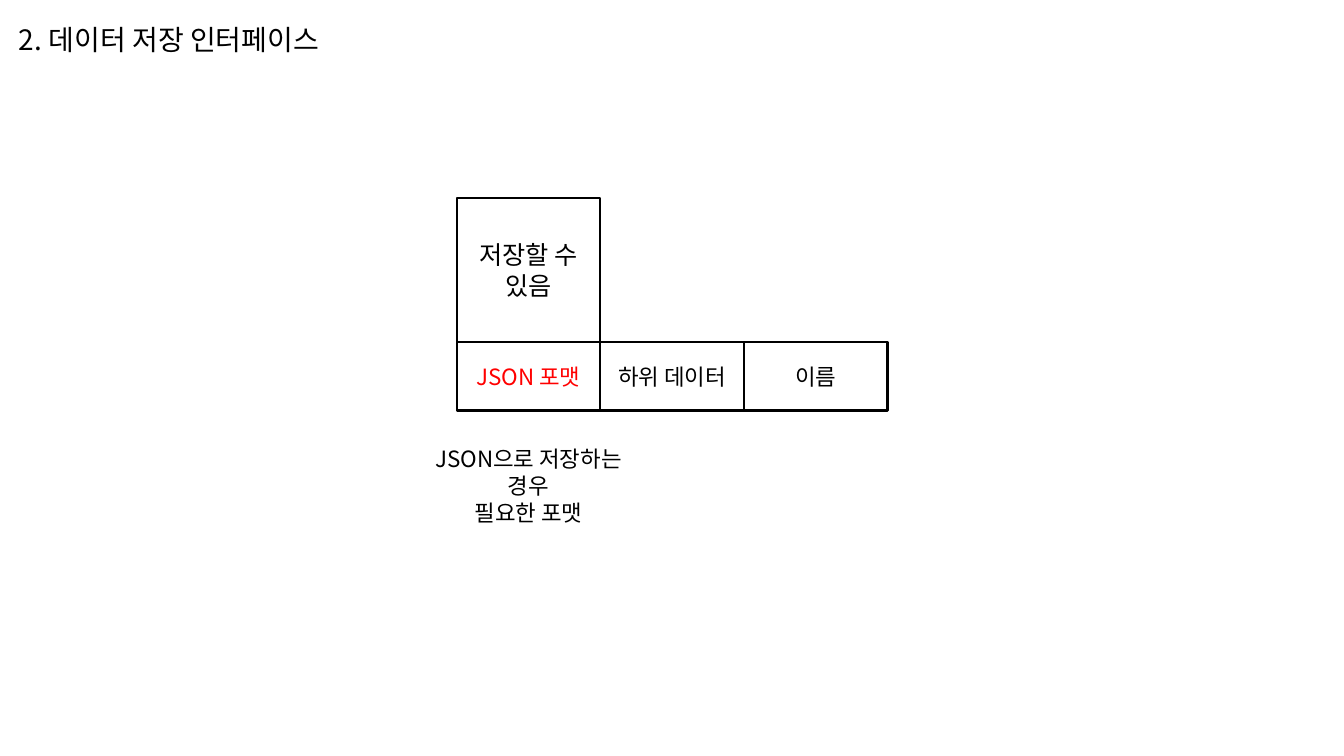
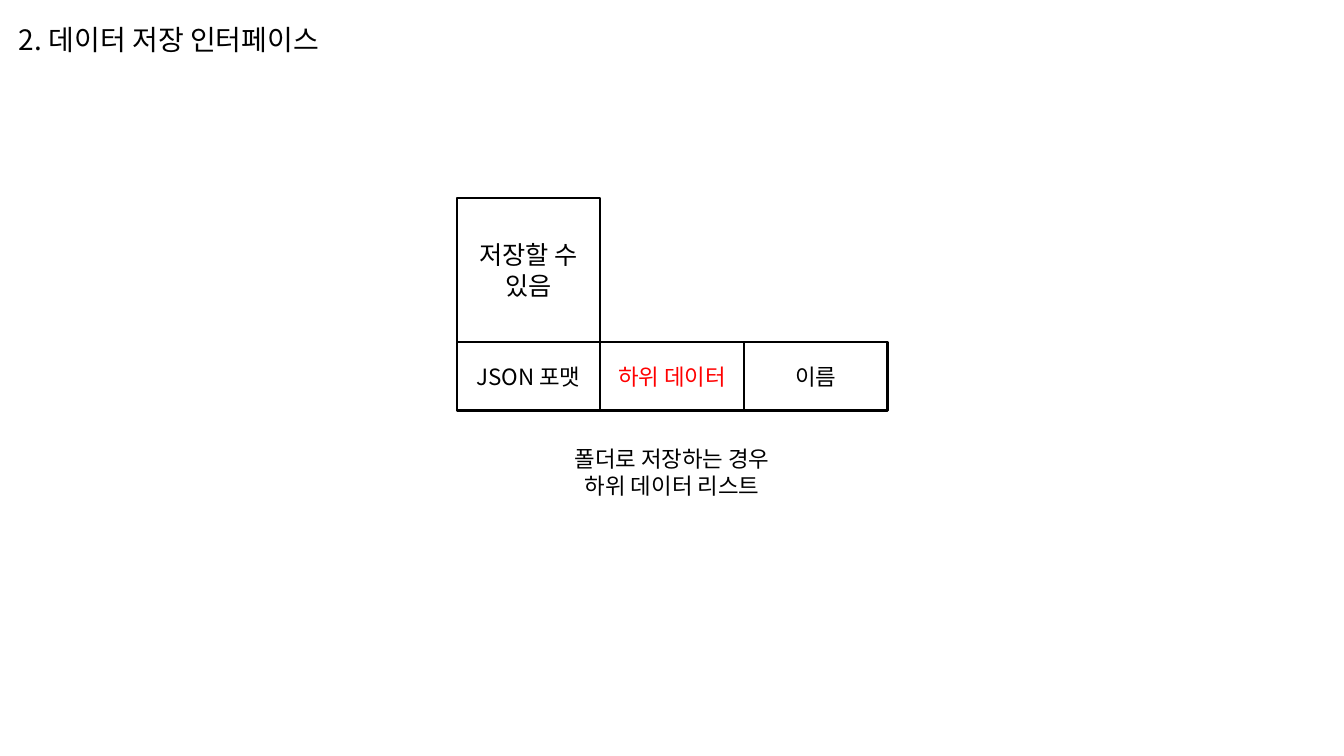
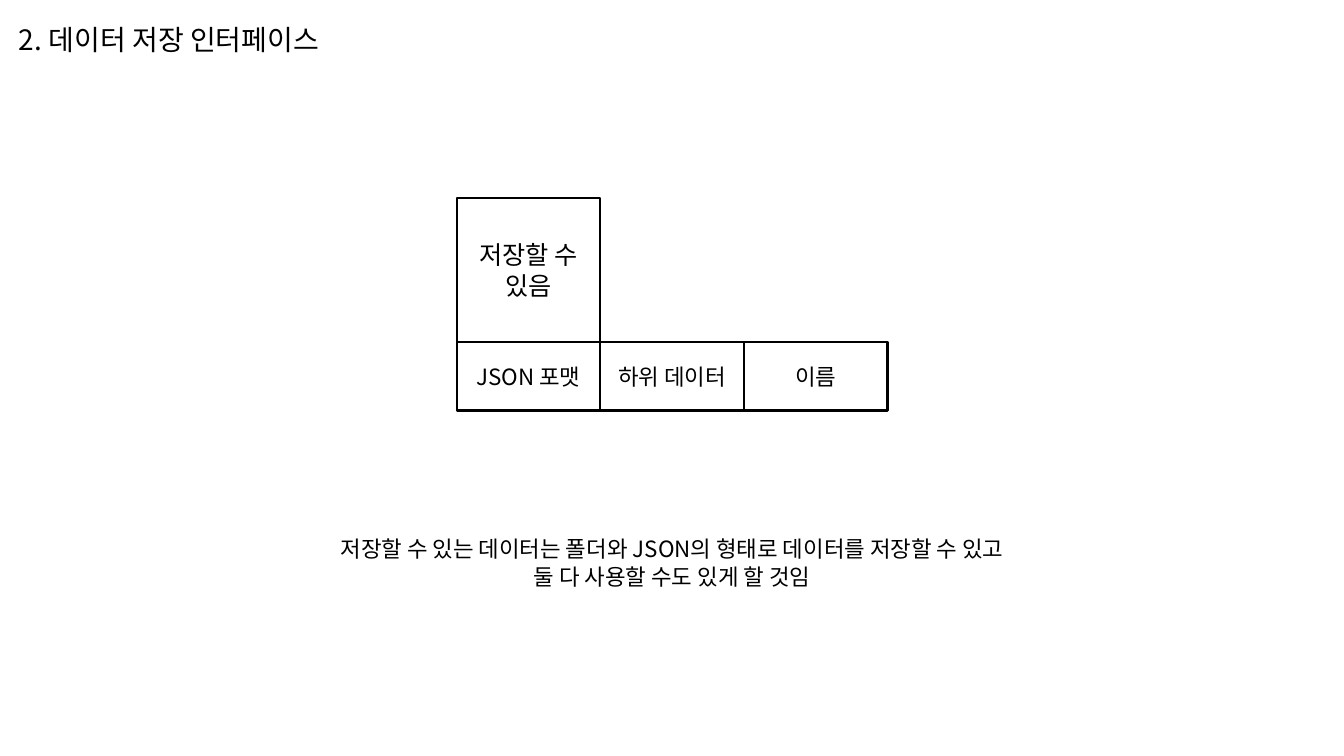
from lxml import etree
from pptx import Presentation
from pptx.dml.color import RGBColor
from pptx.enum.shapes import MSO_SHAPE
from pptx.enum.text import MSO_ANCHOR, MSO_AUTO_SIZE, PP_ALIGN
from pptx.oxml.ns import qn
from pptx.util import Pt

RECT = MSO_SHAPE.RECTANGLE
LEFT, CENTER = PP_ALIGN.LEFT, PP_ALIGN.CENTER
TOP, MIDDLE = MSO_ANCHOR.TOP, MSO_ANCHOR.MIDDLE
GROW = MSO_AUTO_SIZE.SHAPE_TO_FIT_TEXT

FONT = "Noto Sans CJK KR"
BLACK, WHITE, RED = "000000", "FFFFFF", "FF0000"
LEADING = 1.22
WIDTH, HEIGHT = 960, 540
TITLE = "2. 데이터 저장 인터페이스"
HEAD = "저장할 수 있음"
FIELDS = ["JSON 포맷", "하위 데이터", "이름"]
CELL, ROW_H = 102.6, 49
GRID_X, GRID_Y = 326.2, 141.6

SLIDES = [
    {"marked": 0, "column": 0, "top": 314, "width": 178,
     "lines": ["JSON으로 저장하는 경우", "필요한 포맷"]},
    {"marked": 1, "column": 1, "top": 314, "width": 154,
     "lines": ["폴더로 저장하는 경우", "하위 데이터 리스트"]},
    {"marked": None, "column": 1, "top": 378.7, "width": 488,
     "lines": ["저장할 수 있는 데이터는 폴더와 JSON의 형태로 데이터를 저장할 수 있고",
               "둘 다 사용할 수도 있게 할 것임"]},
]


def rgb(value):
    """Turn a hex string into a colour."""
    return RGBColor.from_string(value)


def write(sp, lines, size, color=BLACK, align=CENTER, anchor=TOP):
    """Fill a shape with one styled paragraph per line."""
    tf = sp.text_frame
    tf.word_wrap = True
    tf.vertical_anchor = anchor
    tf.text = "\n".join(lines)
    for p in tf.paragraphs:
        p.alignment = align
        p.line_spacing = Pt(round(size * LEADING, 1))
        for r in p.runs:
            r.font.name = FONT
            r.font.size = Pt(size)
            r.font.color.rgb = rgb(color)
            ea = etree.SubElement(r.font._element, qn("a:ea"))
            ea.set("typeface", FONT)


def add_text(s, x, y, w, h, lines, size, align=CENTER):
    """Add a growing text box."""
    sp = s.shapes.add_textbox(Pt(x), Pt(y), Pt(w), Pt(h))
    write(sp, lines, size, align=align)
    sp.text_frame.auto_size = GROW


def add_cell(s, x, y, w, h, text, size, color=BLACK):
    """Add an outlined white box with centred text."""
    sp = s.shapes.add_shape(RECT, Pt(x), Pt(y), Pt(w), Pt(h))
    sp.shadow.inherit = False
    sp.fill.solid()
    sp.fill.fore_color.rgb = rgb(WHITE)
    sp.line.color.rgb = rgb(BLACK)
    sp.line.width = Pt(1.5)
    write(sp, [text], size, color, anchor=MIDDLE)


def add_structure(s, x, y, marked):
    """Draw the head square over the row of fields, one of them marked red."""
    add_cell(s, x, y, CELL, CELL, HEAD, 18)
    for i, field in enumerate(FIELDS):
        color = RED if i == marked else BLACK
        add_cell(s, x + i * CELL, y + CELL, CELL, ROW_H, field, 16, color)


def add_caption(s, center, y, w, lines):
    """Add an explanation centred on a given x."""
    add_text(s, center - w / 2, y, w, 46, lines, 16)


def build_slide(prs, marked, column, top, width, lines):
    """Build one slide: title, structure and caption below a column."""
    s = prs.slides.add_slide(prs.slide_layouts[6])
    add_text(s, 6.5, 12.2, 232, 32, [TITLE], 20, LEFT)
    add_structure(s, GRID_X, GRID_Y, marked)
    add_caption(s, GRID_X + (column + 0.5) * CELL, top, width, lines)


def main():
    """Build and save the presentation."""
    prs = Presentation()
    prs.slide_width, prs.slide_height = Pt(WIDTH), Pt(HEIGHT)
    for content in SLIDES:
        build_slide(prs, **content)
    prs.save("out.pptx")


if __name__ == "__main__":
    main()
